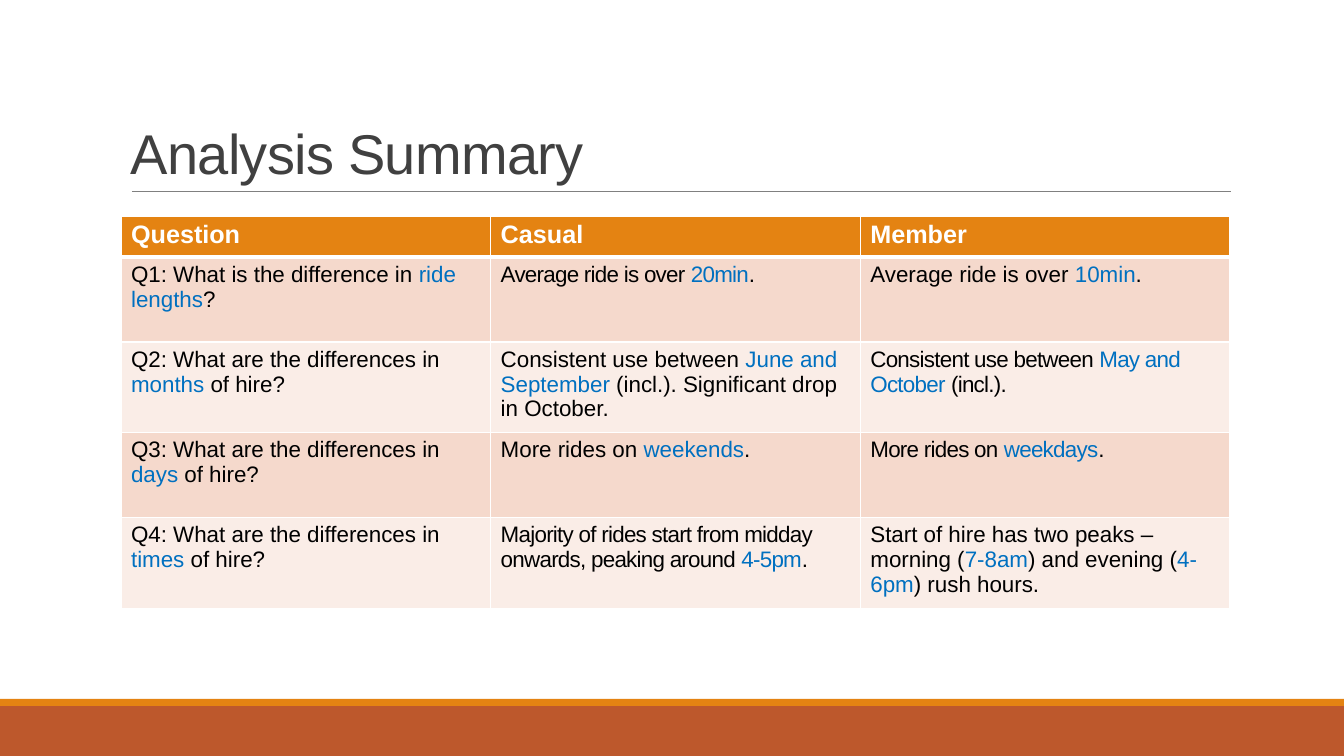
"""Build the Analysis Summary slide comparing casual and member riders."""
import pptx
import pptx.dml.color
import pptx.enum.shapes
import pptx.enum.text
import pptx.oxml
import pptx.oxml.ns
import pptx.util

RGB = pptx.dml.color.RGBColor
WHITE = RGB(0xFF, 0xFF, 0xFF)
BLACK = RGB(0, 0, 0)
BLUE = RGB(0x00, 0x70, 0xC0)
ORANGE = RGB(0xE4, 0x83, 0x12)
RUST = RGB(0xBD, 0x58, 0x2C)
GREY = RGB(0x80, 0x80, 0x80)
CHARCOAL = RGB(0x40, 0x40, 0x40)
BANDS = (RGB(0xF5, 0xD9, 0xCC), RGB(0xFA, 0xED, 0xE7))

FONT = "Arial"
NORMAL, TIGHT = 0, -50

TITLE = "Analysis Summary"
HEADINGS = ("Question", "Casual", "Member")
# Every second piece of a finding is its highlighted answer.
FINDINGS = (
    (
        (NORMAL, ("Q1: What is the difference in ", "ride lengths", "?")),
        (TIGHT, ("Average ride is over ", "20min", ".")),
        (NORMAL, ("Average ride is over ", "10min", ".")),
    ),
    (
        (NORMAL, ("Q2: What are the differences in ", "months", " of hire?")),
        (NORMAL, ("Consistent use between ", "June and September",
                  " (incl.). Significant drop in October.")),
        (TIGHT, ("Consistent use between ", "May and October", " (incl.).")),
    ),
    (
        (NORMAL, ("Q3: What are the differences in ", "days", " of hire?")),
        (NORMAL, ("More rides on ", "weekends", ".")),
        (TIGHT, ("More rides on ", "weekdays", ".")),
    ),
    (
        (NORMAL, ("Q4: What are the differences in ", "times", " of hire?")),
        (TIGHT, ("Majority of rides start from midday onwards, peaking around ",
                 "4-5pm", ".")),
        (NORMAL, ("Start of hire has two peaks – morning (", "7-8am",
                  ") and evening (", "4-6pm", ") rush hours.")),
    ),
)

SLIDE_W, SLIDE_H = 1344, 756
FOOTER_BARS = ((706, 50, RUST), (699, 7, ORANGE))
RULE_LEFT, RULE_RIGHT, RULE_TOP = 132, 1231, 191
TITLE_BOX = (121, 31, 1109, 160)
TABLE_LEFT, TABLE_TOP, TABLE_W = 121, 216, 1109
HEADING_H, FINDING_H = 41, 85


def px(length):
    return pptx.util.Emu(round(length * 914400 / 100.8))


def add_run(paragraph, text, size, color, spacing=NORMAL, bold=False):
    run = paragraph.add_run()
    run.text = text
    run.font.name = FONT
    run.font.size = pptx.util.Pt(size)
    run.font.bold = bold
    run.font.color.rgb = color
    run._r.get_or_add_rPr().set("spc", str(spacing))


def style_cell(cell, fill, top=1, bottom=1):
    properties = cell._tc.get_or_add_tcPr()
    for side, width in (("L", 1), ("R", 1), ("T", top), ("B", bottom)):
        properties.append(pptx.oxml.parse_xml(
            f'<a:ln{side} {pptx.oxml.ns.nsdecls("a")} w="{pptx.util.Pt(width)}">'
            f'<a:solidFill><a:srgbClr val="{WHITE}"/></a:solidFill></a:ln{side}>'))
    cell.fill.solid()
    cell.fill.fore_color.rgb = fill


def add_frame(slide):
    for top, height, color in FOOTER_BARS:
        bar = slide.shapes.add_shape(
            pptx.enum.shapes.MSO_SHAPE.RECTANGLE,
            px(0), px(top), px(SLIDE_W), px(height))
        bar.shadow.inherit = False
        bar.fill.solid()
        bar.fill.fore_color.rgb = color
        bar.line.fill.background()
    rule = slide.shapes.add_connector(
        pptx.enum.shapes.MSO_CONNECTOR.STRAIGHT,
        px(RULE_LEFT), px(RULE_TOP), px(RULE_RIGHT), px(RULE_TOP))
    rule.line.color.rgb = GREY
    rule.line.width = pptx.util.Pt(0.5)
    rule._element.spPr.append(pptx.oxml.parse_xml(
        f'<a:effectLst {pptx.oxml.ns.nsdecls("a")}/>'))


def add_title(slide):
    frame = slide.shapes.add_textbox(*map(px, TITLE_BOX)).text_frame
    frame.word_wrap = True
    frame.vertical_anchor = pptx.enum.text.MSO_ANCHOR.BOTTOM
    heading = frame.paragraphs[0]
    heading.line_spacing = 0.85
    add_run(heading, TITLE, 40, CHARCOAL, TIGHT)


def add_findings(slide):
    heights = [HEADING_H] + [FINDING_H] * len(FINDINGS)
    table = slide.shapes.add_table(
        len(heights), len(HEADINGS), px(TABLE_LEFT), px(TABLE_TOP),
        px(TABLE_W), px(sum(heights))).table
    table.first_row = table.horz_banding = False
    for row, height in zip(table.rows, heights):
        row.height = px(height)
    for column in table.columns:
        column.width = px(TABLE_W / len(HEADINGS))

    for c, heading in enumerate(HEADINGS):
        cell = table.cell(0, c)
        style_cell(cell, ORANGE, bottom=3)
        add_run(cell.text_frame.paragraphs[0], heading, 18, WHITE, bold=True)
    for r, finding in enumerate(FINDINGS):
        for c, (spacing, pieces) in enumerate(finding):
            cell = table.cell(r + 1, c)
            style_cell(cell, BANDS[r % 2], top=1 if r else 3)
            for i, piece in enumerate(pieces):
                add_run(cell.text_frame.paragraphs[0], piece, 16,
                        BLUE if i % 2 else BLACK, spacing)


def main():
    deck = pptx.Presentation()
    deck.slide_width, deck.slide_height = px(SLIDE_W), px(SLIDE_H)
    slide = deck.slides.add_slide(deck.slide_layouts[6])
    add_frame(slide)
    add_title(slide)
    add_findings(slide)
    deck.save("out.pptx")


if __name__ == "__main__":
    main()
